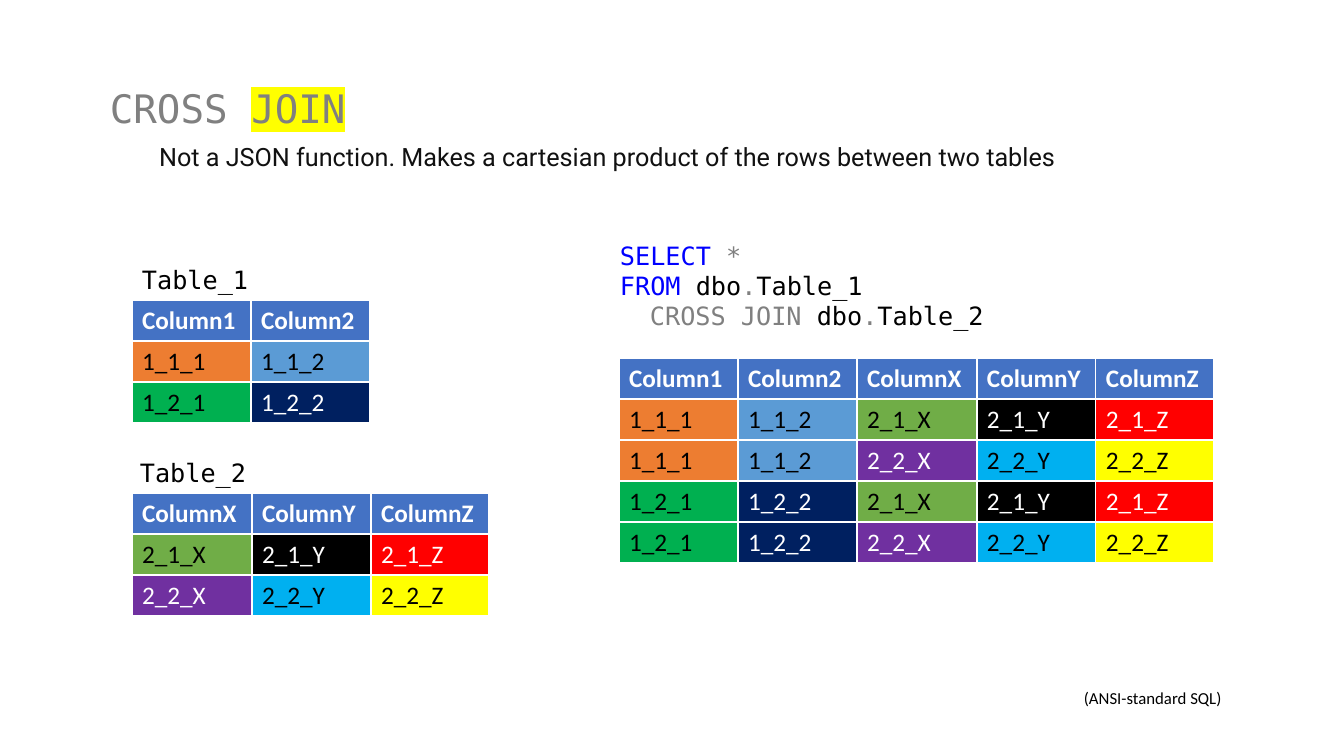
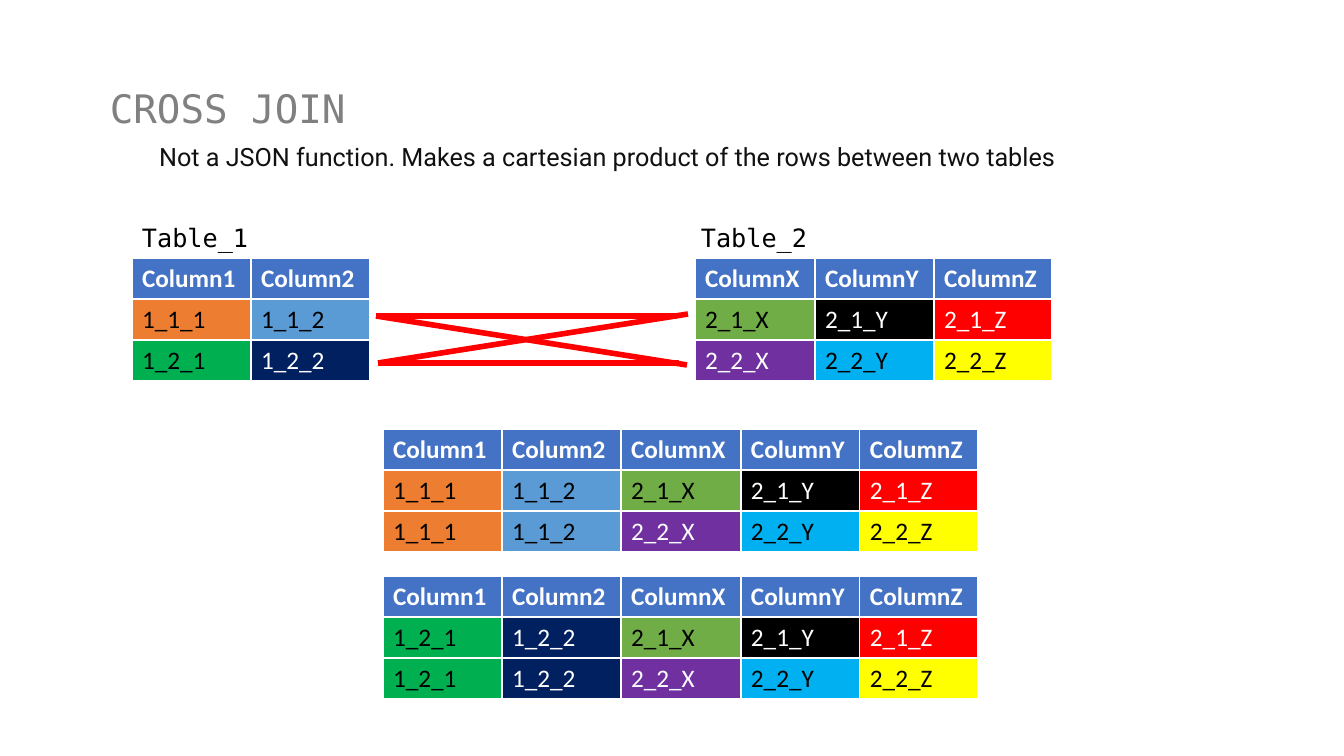
"""Build two slides that explain CROSS JOIN with coloured tables."""
import dataclasses
import itertools

import lxml.etree
import pptx
import pptx.dml.color
import pptx.enum.shapes
import pptx.enum.text
import pptx.oxml.ns
import pptx.util


@dataclasses.dataclass(frozen=True)
class Theme:
    code_font: str = "DejaVu Sans Mono"
    lead_font: str = "Roboto"
    table_font: str = "Calibri"
    title_size: int = 28
    body_size: int = 18
    note_size: int = 12
    line_width: int = 4
    black: str = "000000"
    white: str = "FFFFFF"
    grey: str = "808080"
    lead: str = "111111"
    keyword: str = "0000FF"
    highlight: str = "FFFF00"
    header: str = "4472C4"
    link: str = "FF0000"


theme = Theme()
rgb = pptx.dml.color.RGBColor.from_string
PX = 12192000 / 1344
ROW_HEIGHT = 41

TITLE = {"name": theme.code_font, "size": pptx.util.Pt(theme.title_size)}
LEAD = {"name": theme.lead_font, "size": pptx.util.Pt(theme.body_size)}
CODE = {"name": theme.code_font, "size": pptx.util.Pt(theme.body_size)}
NOTE = {"name": theme.table_font, "size": pptx.util.Pt(theme.note_size)}
HEADER_CELL = {"name": theme.table_font, "size": pptx.util.Pt(theme.body_size), "bold": True}
BODY_CELL = {**HEADER_CELL, "bold": False}

COLUMN_WIDTHS = {"Column1": 119, "Column2": 119, "ColumnX": 120, "ColumnY": 119, "ColumnZ": 118}
COLUMNS_1 = ["Column1", "Column2"]
COLUMNS_2 = ["ColumnX", "ColumnY", "ColumnZ"]
ROWS_1 = [["1_1_1", "1_1_2"], ["1_2_1", "1_2_2"]]
ROWS_2 = [["2_1_X", "2_1_Y", "2_1_Z"], ["2_2_X", "2_2_Y", "2_2_Z"]]
JOINED = [first + second for first, second in itertools.product(ROWS_1, ROWS_2)]
CELL_COLOURS = {
    "1_1_1": ("ED7D31", theme.black),
    "1_1_2": ("5B9BD5", theme.black),
    "1_2_1": ("00B050", theme.black),
    "1_2_2": ("002060", theme.white),
    "2_1_X": ("70AD47", theme.black),
    "2_1_Y": ("000000", theme.white),
    "2_1_Z": ("FF0000", theme.white),
    "2_2_X": ("7030A0", theme.white),
    "2_2_Y": ("00B0F0", theme.black),
    "2_2_Z": ("FFFF00", theme.black),
}


def add_text(page, frame, lines, style):
    """Add a text box whose lines are lists of (text, colour) spans."""
    box = page.shapes.add_textbox(*(round(length * PX) for length in frame))
    box.text_frame.word_wrap = True
    box.text_frame.auto_size = pptx.enum.text.MSO_AUTO_SIZE.SHAPE_TO_FIT_TEXT
    for index, line in enumerate(lines):
        para = box.text_frame.add_paragraph() if index else box.text_frame.paragraphs[0]
        for text, colour in line:
            span = para.add_run()
            span.text = text
            for key, value in style.items():
                setattr(span.font, key, value)
            span.font.color.rgb = rgb(colour)
    return box


def add_grid(page, left, top, headers, rows):
    """Add a table with a header row and cells coloured by value."""
    widths = [COLUMN_WIDTHS[header] for header in headers]
    size = (left, top, sum(widths), ROW_HEIGHT * (len(rows) + 1))
    frame = page.shapes.add_table(len(rows) + 1, len(headers), *(round(length * PX) for length in size))
    table = frame.table
    table.horz_banding = False
    for column, width in zip(table.columns, widths):
        column.width = round(width * PX)
    for row_index, values in enumerate([headers, *rows]):
        for column_index, value in enumerate(values):
            cell = table.cell(row_index, column_index)
            fill, colour = CELL_COLOURS.get(value, (theme.header, theme.white))
            cell.fill.solid()
            cell.fill.fore_color.rgb = rgb(fill)
            span = cell.text_frame.paragraphs[0].add_run()
            span.text = value
            for key, style_value in (BODY_CELL if row_index else HEADER_CELL).items():
                setattr(span.font, key, style_value)
            span.font.color.rgb = rgb(colour)


deck = pptx.Presentation()
deck.slide_width = round(1344 * PX)
deck.slide_height = round(756 * PX)

LAYOUTS = [
    {
        "title": ["CROSS ", "JOIN"],
        "labels": [("Table_1", 132, 259, 196), ("Table_2", 130, 452, 132)],
        "grids": [
            (132, 493, COLUMNS_2, ROWS_2),
            (132, 300, COLUMNS_1, ROWS_1),
            (619, 358, COLUMNS_1 + COLUMNS_2, JOINED),
        ],
    },
    {
        "title": ["CROSS JOIN"],
        "labels": [("Table_1", 132, 217, 196), ("Table_2", 691, 217, 132)],
        "grids": [
            (695, 258, COLUMNS_2, ROWS_2),
            (132, 258, COLUMNS_1, ROWS_1),
            (383, 429, COLUMNS_1 + COLUMNS_2, JOINED[:2]),
            (383, 576, COLUMNS_1 + COLUMNS_2, JOINED[2:]),
        ],
    },
]

pages = []
for layout in LAYOUTS:
    page = deck.slides.add_slide(deck.slide_layouts[6])
    pages.append(page)
    title = add_text(page, (100, 79, 973, 57), [[(text, theme.grey) for text in layout["title"]]], TITLE)
    for span in title.text_frame.paragraphs[0].runs[1:]:
        fill = span.font._element.find(pptx.oxml.ns.qn("a:solidFill"))
        marker = lxml.etree.Element(pptx.oxml.ns.qn("a:highlight"))
        lxml.etree.SubElement(marker, pptx.oxml.ns.qn("a:srgbClr"), val=theme.highlight)
        fill.addnext(marker)
    lead = " Not a JSON function. Makes a cartesian product of the rows between two tables"
    add_text(page, (143, 136, 1030, 40), [[(lead, theme.lead)]], LEAD)
    for grid in layout["grids"]:
        add_grid(page, *grid)
    for text, left, top, width in layout["labels"]:
        add_text(page, (left, top, width, 40), [[(text, theme.black)]], CODE)

query_page, match_page = pages
query = [
    [("SELECT ", theme.keyword), ("*", theme.grey)],
    [("FROM", theme.keyword), (" dbo", theme.black), (".", theme.grey), ("Table_1", theme.black)],
    [("CROSS JOIN", theme.grey), (" dbo", theme.black), (".", theme.grey), ("Table_2", theme.black)],
]
query_box = add_text(query_page, (610, 235, 398, 102), query, CODE)
join_para = query_box.text_frame.paragraphs[2]
join_para._p.get_or_add_pPr().set("marL", str(round(30 * PX)))
add_text(query_page, (1074, 683, 176, 30), [[("(ANSI-standard SQL)", theme.black)]], NOTE)

ROW_LINKS = [
    [(376, 316, 677, 316), (687, 365, 376, 316)],
    [(378, 363, 679, 363), (688, 314, 378, 363)],
]
for links in ROW_LINKS:
    group = match_page.shapes.add_group_shape()
    for ends in links:
        line = group.shapes.add_connector(
            pptx.enum.shapes.MSO_CONNECTOR.STRAIGHT, *(round(length * PX) for length in ends)
        )
        line.line.color.rgb = rgb(theme.link)
        line.line.width = pptx.util.Pt(theme.line_width)
        lxml.etree.SubElement(line._element.spPr, pptx.oxml.ns.qn("a:effectLst"))

deck.save("out.pptx")
